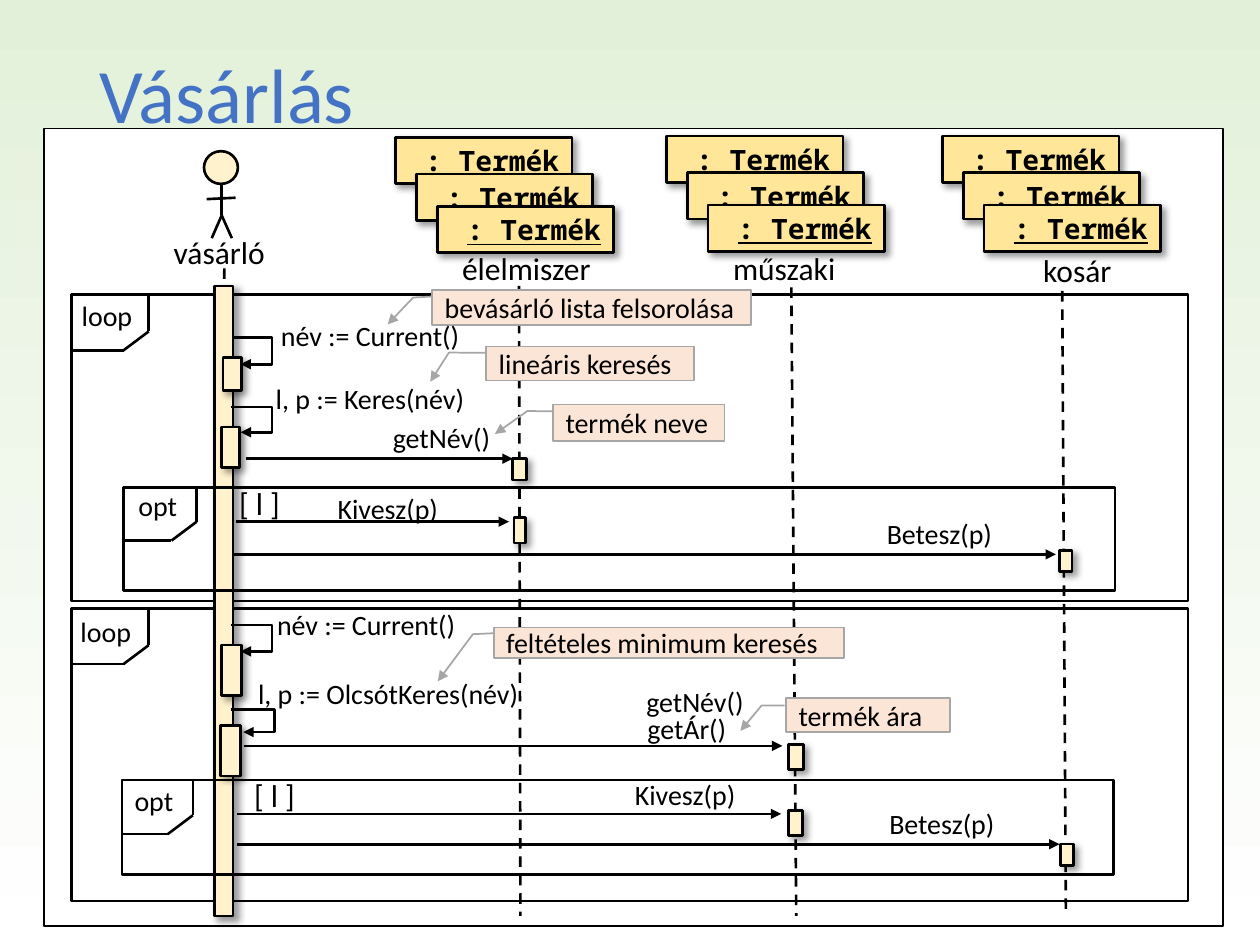
import pptx
import pptx.util
import pptx.dml.color
import pptx.enum.dml
import pptx.enum.shapes
import pptx.enum.text
import pptx.oxml
import pptx.oxml.ns

Pt = pptx.util.Pt
SHAPE = pptx.enum.shapes.MSO_SHAPE
LINK = pptx.enum.shapes.MSO_CONNECTOR
ALIGN = pptx.enum.text.PP_ALIGN
ANCHOR = pptx.enum.text.MSO_ANCHOR
NS = pptx.oxml.ns.nsdecls("a")

COLORS = {"black": "000000", "white": "FFFFFF", "sky": "E2F0D9", "title": "4472C4",
          "object": "FFE699", "bar": "FFF2CC", "note": "FBE5D6", "note_line": "A6A6A6"}

PANEL = (25.2, 73.4, 673.9, 455.8)
TITLE = ("Vásárlás", 49.7, 28.8, 620.6, 104.4)

# left, top, width, height; tab width, tab height; label, left, top, width
LOOPS = [
    ((41, 168.5, 637.9, 175), (44, 31.7), ("loop", 39.6, 167, 52.6)),
    ((41, 347.8, 637.9, 167), (44, 31.7), ("loop", 38.9, 347.8, 52.6)),
]
OPTS = [
    ((70.6, 278.6, 566.6, 59), (41.8, 30.3), ("opt", 72, 275.8, 39.6)),
    ((69.8, 445.7, 566.6, 54), (40.4, 31), ("opt", 69.8, 444.2, 39.6)),
]
TAB_CUT = (14.4, 10.8)

LIFELINES = [(128.2, 153.4, 127.4), (296.6, 163.4, 297.4),
             (452.2, 164.2, 455), (607, 166.3, 609.1)]
LIFELINE_END = 523.4

HEAD = (116.6, 86.4, 19.4, 18.7)
LIMBS = [(126.7, 105.1, 126.7, 123.1), (126.7, 123.1, 132.5, 136.1),
         (126.7, 123.1, 121, 136.1), (118.1, 113.8, 134.6, 113)]

STACKS = [(226.1, 78.5), (380.9, 77.8), (538.6, 77.8)]
STACK_STEPS = [(0, 0), (11.9, 20.9), (23.8, 39.4)]
OBJECT_SIZE = (100.8, 26.6)
OBJECT_RUNS = [(" ", False), (": Termék", True)]

LARGE_LABELS = [
    ("vásárló", 92.2, 129.6, 67), ("élelmiszer", 257, 139, 88.6),
    ("műszaki", 411.8, 139, 73.4), ("kosár", 589, 139.7, 54),
    ("[ l ]", 129.6, 272.9, 38.2), ("[ l ]", 138.2, 439.9, 38.2),
]
CALL_LABELS = [
    ("név := Current()", 153.4, 178.6, 118), ("l, p := Keres(név)", 150.5, 214.6, 126.7),
    ("getNév()", 217.4, 236.9, 71.3), ("Kivesz(p)", 185.8, 277.2, 72.7),
    ("Betesz(p)", 499.7, 291.6, 74.9), ("név := Current()", 151.2, 343.4, 118),
    ("l, p := OlcsótKeres(név)", 140.4, 383, 168.5), ("getNév()", 362.2, 387.4, 71.3),
    ("getÁr()", 362.9, 403.2, 60.5), ("Kivesz(p)", 355.7, 440.6, 72.7),
    ("Betesz(p)", 501.1, 457.2, 74.9),
]

BARS = [
    (122.4, 163.4, 10.8, 360),
    (127.4, 204.5, 10.8, 18.7), (126.7, 244.1, 10.1, 23),
    (126.7, 368.6, 11.5, 28.8), (126, 414.7, 11.5, 28.8),
    (293, 262.1, 7.9, 12.2), (293.8, 295.9, 6.5, 14.4),
    (450.7, 425.5, 8.6, 14.4), (450.7, 463, 7.9, 14.4),
    (605.5, 314.6, 7.2, 12.2), (606.2, 482.4, 7.2, 12.2),
]
SELF_CALLS = [(132.5, 193, 137.5, 208.1, 155.5), (131.8, 232.6, 137.5, 247, 155.5),
              (131.8, 357.1, 137.5, 372.2, 155.5), (131.8, 405.4, 139, 418.3, 157)]
MESSAGES = [(140.4, 293, 262.1), (134.6, 290.9, 298.1), (133.9, 603.4, 316.8),
            (139.7, 447.1, 426.2), (135.4, 446.4, 465.1), (135.4, 605.5, 482.4)]

NOTES = [
    ("bevásárló lista felsorolása", (247, 165.6, 182.2, 20.2), (.19, 0, .22, -.06, .98, -.14)),
    ("lineáris keresés", (277.9, 198, 118.8, 19.4), (.19, 0, .18, -.18, 1.04, -.27)),
    ("termék neve", (316.1, 231.1, 97.9, 20.9), (.19, 0, .18, -.15, .81, -.34)),
    ("feltételes minimum keresés", (282.2, 358.6, 200.2, 17.3), (.19, 0, .22, -.06, 1.78, -.16)),
    ("termék ára", (449.3, 398.9, 93.6, 19.4), (.22, -.01, .22, -.15, .97, -.28)),
]


def rgb(name):
    return pptx.dml.color.RGBColor.from_string(COLORS[name])


def write(sp, runs, size=16, font="Calibri", color="black", bold=False,
          align=ALIGN.LEFT, anchor=ANCHOR.TOP, wrap=False, spacing=None):
    tf = sp.text_frame
    tf.word_wrap = wrap
    tf.vertical_anchor = anchor
    p = tf.paragraphs[0]
    p.alignment = align
    p.line_spacing = spacing
    for text, underline in [(runs, False)] if isinstance(runs, str) else runs:
        r = p.add_run()
        r.text = text
        r.font.size, r.font.name, r.font.bold = Pt(size), font, bold
        r.font.underline = underline
        r.font.color.rgb = rgb(color)


def add_label(text, x, y, w, h=26.6, **fmt):
    write(slide.shapes.add_textbox(Pt(x), Pt(y), Pt(w), Pt(h)), text, **fmt)


def add_box(x, y, w, h, fill=None, line="black", weight=1.5, kind=SHAPE.RECTANGLE, shadow=False):
    sp = slide.shapes.add_shape(kind, Pt(x), Pt(y), Pt(w), Pt(h))
    sp.shadow.inherit = False
    if fill:
        sp.fill.solid()
        sp.fill.fore_color.rgb = rgb(fill)
    else:
        sp.fill.background()
    sp.line.color.rgb = rgb(line)
    sp.line.width = Pt(weight)
    if shadow:
        sp._element.spPr.find(pptx.oxml.ns.qn("a:effectLst")).append(pptx.oxml.parse_xml(
            f'<a:outerShdw {NS} blurRad="{Pt(4)}" dist="{Pt(3)}" dir="2700000" algn="tl" '
            'rotWithShape="0"><a:srgbClr val="000000"><a:alpha val="40000"/>'
            '</a:srgbClr></a:outerShdw>'))
    return sp


def add_arrowhead(sp):
    sp.line._get_or_add_ln().append(pptx.oxml.parse_xml(f'<a:tailEnd {NS} type="triangle"/>'))


def add_line(x1, y1, x2, y2, kind=LINK.STRAIGHT, dash=False, arrow=False):
    sp = slide.shapes.add_connector(kind, Pt(x1), Pt(y1), Pt(x2), Pt(y2))
    sp.line.color.rgb = rgb("black")
    sp.line.width = Pt(1.5)
    if dash:
        sp.line.dash_style = pptx.enum.dml.MSO_LINE.DASH
    if arrow:
        add_arrowhead(sp)
    sp._element.spPr.append(pptx.oxml.parse_xml(f"<a:effectLst {NS}/>"))
    return sp


def add_frame(box, tab, label):
    add_box(*box)
    x, y = box[:2]
    right, bottom = x + tab[0], y + tab[1]
    cut_x, cut_y = right - TAB_CUT[0], bottom - TAB_CUT[1]
    add_line(x, bottom, cut_x, bottom)
    add_line(cut_x, bottom, right, cut_y)
    add_line(right, y, right, cut_y)
    add_label(*label, wrap=True)


def add_self_call(x1, y1, x2, y2, turn):
    sp = add_line(x1, y1, x2, y2, kind=LINK.ELBOW, arrow=True)
    ratio = round((turn - x1) / (x2 - x1) * 100000)
    geom = sp._element.spPr.find(pptx.oxml.ns.qn("a:prstGeom"))
    geom.get_or_add_avLst().append(
        pptx.oxml.parse_xml(f'<a:gd {NS} name="adj1" fmla="val {ratio}"/>'))


prs = pptx.Presentation()
prs.slide_width, prs.slide_height = Pt(720), Pt(540)
slide = prs.slides.add_slide(prs.slide_layouts[6])
bg = slide.background.fill
bg.gradient()
bg.gradient_angle = 90
for stop, position, name in zip(bg.gradient_stops, (0, 1), ("white", "sky")):
    stop.position = position
    stop.color.rgb = rgb(name)

add_box(*PANEL, fill="white", weight=1)
add_label(*TITLE, size=44, color="title", wrap=True, spacing=.9)
for frame in LOOPS:
    add_frame(*frame)
for x1, y1, x2 in LIFELINES:
    add_line(x1, y1, x2, LIFELINE_END, dash=True)
for limb in LIMBS:
    add_line(*limb)
add_box(*HEAD, fill="bar", kind=SHAPE.OVAL)
for x, y in STACKS:
    for dx, dy in STACK_STEPS:
        sp = add_box(x + dx, y + dy, *OBJECT_SIZE, fill="object", shadow=True)
        write(sp, OBJECT_RUNS, font="Noto Sans Mono", bold=True,
              align=ALIGN.CENTER, anchor=ANCHOR.MIDDLE)
for bar in BARS:
    add_box(*bar, fill="bar", shadow=True)
for call in SELF_CALLS:
    add_self_call(*call)
for x1, x2, y in MESSAGES:
    add_line(x1, y, x2, y, arrow=True)
for text, box, bends in NOTES:
    sp = add_box(*box, fill="note", line="note_line", weight=1, kind=SHAPE.LINE_CALLOUT_2)
    for i, bend in enumerate(bends):
        sp.adjustments[i] = bend
    add_arrowhead(sp)
    write(sp, text, anchor=ANCHOR.MIDDLE, wrap=True)
for frame in OPTS:
    add_frame(*frame)
for label in CALL_LABELS:
    add_label(*label)
for label in LARGE_LABELS:
    add_label(*label, h=28.8, size=18)

prs.save("out.pptx")
